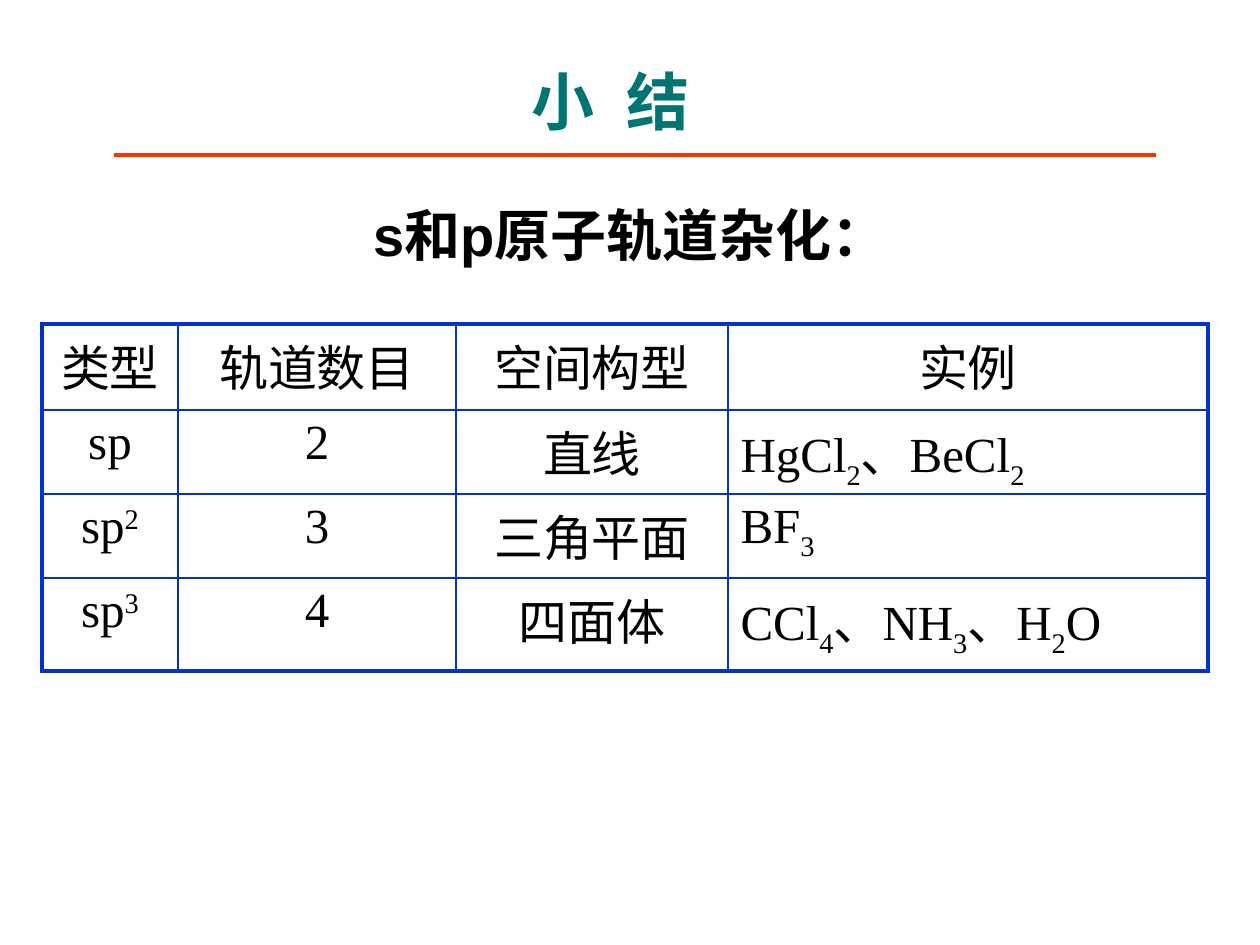
from lxml import etree
from pptx import Presentation
from pptx.dml.color import RGBColor
from pptx.enum.shapes import MSO_CONNECTOR
from pptx.enum.text import MSO_ANCHOR, PP_ALIGN
from pptx.oxml.ns import qn
from pptx.util import Emu, Pt

CENTER, LEFT = PP_ALIGN.CENTER, PP_ALIGN.LEFT
MIDDLE = MSO_ANCHOR.MIDDLE
STRAIGHT = MSO_CONNECTOR.STRAIGHT
PX = 914400 // 126
BLACK, TEAL, RED, BLUE = "000000", "007572", "FF3300", "0033CC"
SUB, SUP = -25000, 30000

HEADING = [("小", {}), (" ", {"spc": 1000}), ("结", {})]
SUBTITLE = [("s和p原子轨道杂化：", {})]
COLUMNS = [136, 278, 272, 480]
ROWS = [86, 84, 84, 93]
CELLS = [
    ["类型", "轨道数目", "空间构型", "实例"],
    ["sp", "2", "直线", "HgCl_2_、BeCl_2"],
    ["sp^2", "3", "三角平面", "BF_3"],
    ["sp^3", "4", "四面体", "CCl_4_、NH_3_、H_2_O"],
]


def px(length):
    return Emu(length * PX)


def color(value):
    return RGBColor.from_string(value)


def formula(text):
    mark = SUP if "^" in text else SUB
    parts = text.replace("^", "_").split("_")
    return [(part, {"baseline": mark} if i % 2 else {}) for i, part in enumerate(parts)]


def write(frame, spans, align, font, size, hue, bold=False):
    para = frame.paragraphs[0]
    para.alignment = align
    for text, extras in spans:
        span = para.add_run()
        span.text = text
        span.font.name = font
        span.font.size = Pt(size)
        span.font.bold = bold
        span.font.color.rgb = color(hue)
        for name, value in extras.items():
            span.font._element.set(name, str(value))


def add_text(page, place, spans, size, hue):
    box = page.shapes.add_textbox(*map(px, place))
    box.text_frame.word_wrap = True
    box.text_frame.vertical_anchor = MIDDLE
    write(box.text_frame, spans, CENTER, "Arial", size, hue, True)


def add_border(cell, side, width):
    line = etree.SubElement(cell._tc.get_or_add_tcPr(), qn("a:ln" + side), w=str(Pt(width)))
    fill = etree.SubElement(line, qn("a:solidFill"))
    etree.SubElement(fill, qn("a:srgbClr"), val=BLUE)


def add_grid(page):
    last_row, last_column = len(ROWS) - 1, len(COLUMNS) - 1
    table = page.shapes.add_table(
        len(ROWS), len(COLUMNS), px(42), px(324), px(sum(COLUMNS)), px(sum(ROWS))
    ).table
    table.first_row = False
    table.horz_banding = False
    for column, width in zip(table.columns, COLUMNS):
        column.width = px(width)
    for row, height in zip(table.rows, ROWS):
        row.height = px(height)
    for r, texts in enumerate(CELLS):
        for c, text in enumerate(texts):
            cell = table.cell(r, c)
            align = LEFT if r > 0 and c == last_column else CENTER
            write(cell.text_frame, formula(text), align, "Times New Roman", 28, BLACK)
            outer = {"L": c == 0, "R": c == last_column, "T": r == 0, "B": r == last_row}
            for side, is_edge in outer.items():
                add_border(cell, side, 2.25 if is_edge else 1)
            cell.fill.background()


def main():
    deck = Presentation()
    deck.slide_width, deck.slide_height = px(1260), px(945)
    page = deck.slides.add_slide(deck.slide_layouts[6])
    add_text(page, (42, 184, 1177, 101), SUBTITLE, 32, BLACK)
    add_grid(page)
    add_text(page, (412, 45, 397, 110), HEADING, 36, TEAL)
    rule = page.shapes.add_connector(STRAIGHT, px(114), px(155), px(1156), px(155))
    rule.line.color.rgb = color(RED)
    rule.line.width = Pt(2.5)
    etree.SubElement(rule._element.spPr, qn("a:effectLst"))
    deck.save("out.pptx")


if __name__ == "__main__":
    main()
